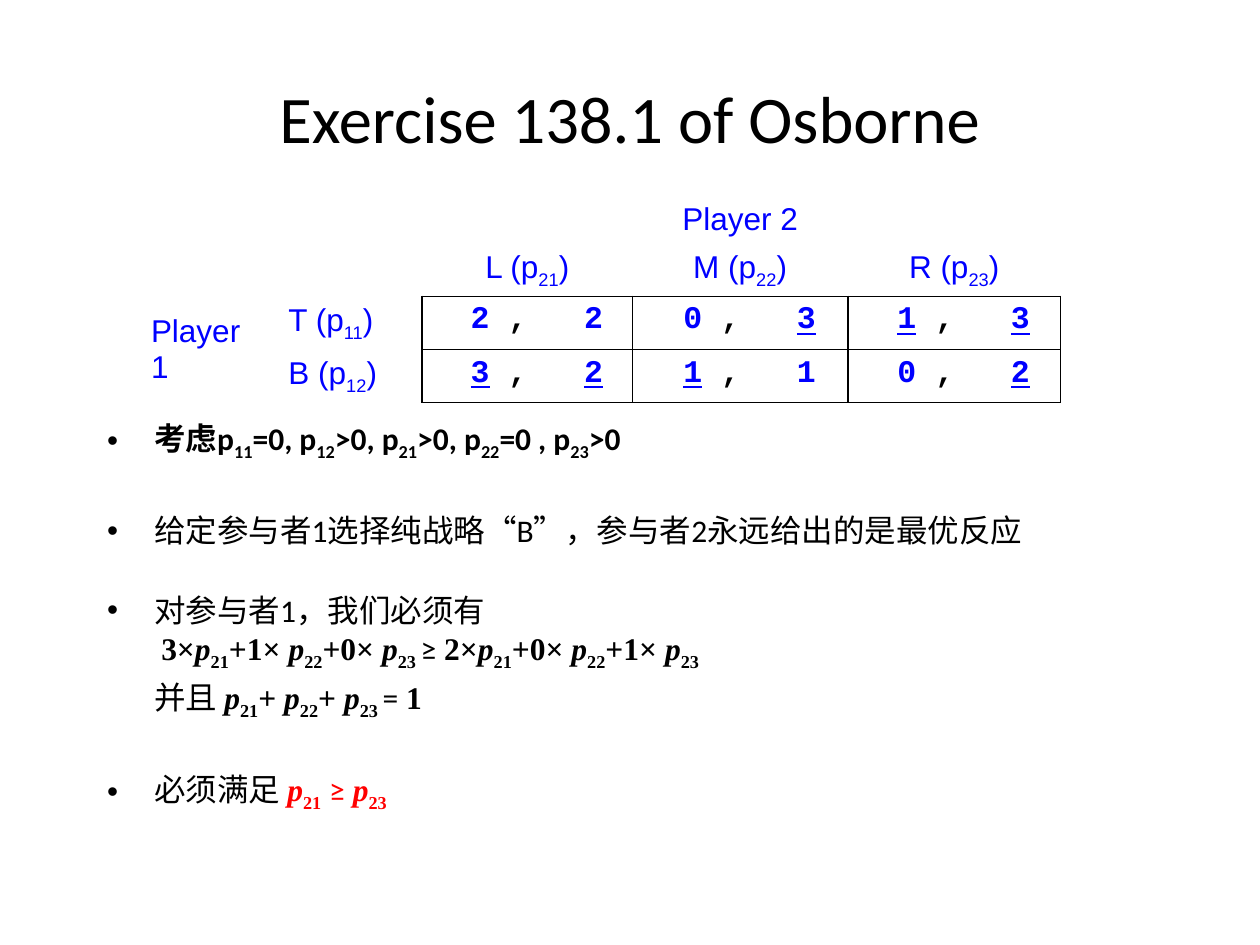
from dataclasses import dataclass
from itertools import groupby

from lxml import etree
from pptx import Presentation
from pptx.dml.color import RGBColor
from pptx.enum.text import MSO_ANCHOR, PP_ALIGN
from pptx.oxml.ns import qn
from pptx.util import Cm, Pt

TOP, MIDDLE, BOTTOM = MSO_ANCHOR.TOP, MSO_ANCHOR.MIDDLE, MSO_ANCHOR.BOTTOM
LEFT, CENTER = PP_ALIGN.LEFT, PP_ALIGN.CENTER
PLAIN_TABLE_STYLE = "{2D5ABB26-0587-4C30-8999-92F81FD0307C}"


@dataclass(frozen=True)
class Theme:
    black: RGBColor = RGBColor(0, 0, 0)
    blue: RGBColor = RGBColor(0, 0, 255)
    red: RGBColor = RGBColor(255, 0, 0)
    title_size: Pt = Pt(38)
    text_size: Pt = Pt(18)
    body_font: str = "Calibri"
    label_font: str = "Arial"
    payoff_font: str = "Courier New"
    formula_font: str = "Times New Roman"


theme = Theme()


def add_text(paragraph, text, formula_color=None):
    """Add text whose every second |-part is a subscript.

    With a formula colour, p is italic and relations stay in the body font.
    """
    for index, part in enumerate(text.split("|")):
        subscript = index % 2 == 1
        pieces = [("label", part)]
        if formula_color is not None:
            kinds = groupby(part, lambda sign: sign if sign in "p≥=" else "number")
            pieces = [(kind, "".join(signs)) for kind, signs in kinds]
        for kind, piece in pieces:
            run = paragraph.add_run()
            run.text = piece
            if subscript:
                run.font._element.set("baseline", "-25000")
            if formula_color is not None:
                relation = kind in ("≥", "=")
                run.font.name = theme.body_font if relation else theme.formula_font
                run.font.bold = not relation
                run.font.italic = kind == "p"
                run.font.color.rgb = formula_color


def format_cell(cell, anchor, align, font_name, bold, borders):
    cell.vertical_anchor = anchor
    properties = cell._tc.get_or_add_tcPr()
    for side in borders:
        line = etree.SubElement(properties, qn(f"a:ln{side}"), w=str(Pt(1)))
        fill = etree.SubElement(line, qn("a:solidFill"))
        etree.SubElement(fill, qn("a:srgbClr"), val=str(theme.black))
    cell.fill.background()
    paragraph = cell.text_frame.paragraphs[0]
    paragraph.alignment = align
    paragraph.font.name = font_name
    paragraph.font.size = theme.text_size
    paragraph.font.bold = bold
    paragraph.font.color.rgb = theme.blue
    return paragraph


presentation = Presentation()
presentation.slide_width, presentation.slide_height = Cm(25.4), Cm(19.05)
slide = presentation.slides.add_slide(presentation.slide_layouts[5])

# Title
title = slide.shapes.title
title.left, title.top, title.width, title.height = Cm(1.27), Cm(0.76), Cm(22.86), Cm(3.18)
title.text_frame.text = "Exercise 138.1 of Osborne"
title.text_frame.vertical_anchor = MIDDLE
paragraph = title.text_frame.paragraphs[0]
paragraph.alignment = CENTER
paragraph.font.name = theme.body_font
paragraph.font.size = theme.title_size
paragraph.font.color.rgb = theme.black

# Payoff table
column_widths = [2.77, 2.95, 4.24, 4.34, 4.29]
row_heights = [0.94, 1.07, 1.07, 1.07]
table_frame = slide.shapes.add_table(
    len(row_heights), len(column_widths), Cm(2.79), Cm(3.94),
    Cm(sum(column_widths)), Cm(sum(row_heights)))
table = table_frame.table
table.first_row = table.horz_banding = False
table._tbl.tblPr.find(qn("a:tableStyleId")).text = PLAIN_TABLE_STYLE
for column, width in zip(table.columns, column_widths):
    column.width = Cm(width)
for row, height in zip(table.rows, row_heights):
    row.height = Cm(height)
table.cell(2, 0).merge(table.cell(3, 0))

labels = {
    (0, 3): ("Player 2", BOTTOM, CENTER, ""),
    (1, 2): ("L (p|21|)", BOTTOM, CENTER, "B"),
    (1, 3): ("M (p|22|)", BOTTOM, CENTER, "B"),
    (1, 4): ("R (p|23|)", BOTTOM, CENTER, "B"),
    (2, 0): ("Player 1", MIDDLE, LEFT, ""),
    (2, 1): ("T (p|11|)", TOP, LEFT, "R"),
    (3, 1): ("B (p|12|)", MIDDLE, LEFT, "R"),
}
# An underscore marks a best response
payoffs = [
    [("2", "2"), ("0", "_3"), ("_1", "_3")],
    [("_3", "_2"), ("_1", "1"), ("0", "_2")],
]
for row in range(len(row_heights)):
    for column in range(len(column_widths)):
        cell = table.cell(row, column)
        if row >= 2 and column >= 2:
            paragraph = format_cell(cell, TOP, CENTER, theme.payoff_font, True, "LRTB")
            first, second = payoffs[row - 2][column - 2]
            for text in (" ", first, " ,   ", second):
                run = paragraph.add_run()
                run.text = text.lstrip("_")
                run.font.underline = text.startswith("_")
                run.font.color.rgb = theme.black if "," in text else theme.blue
        else:
            text, anchor, align, borders = labels.get((row, column), ("", TOP, LEFT, ""))
            paragraph = format_cell(cell, anchor, align, theme.label_font, False, borders)
            if text:
                add_text(paragraph, text)

# Argument: bullet, space before, bold, then lines of (text, formula, formula colour)
argument = [
    (True, 0, True, [("考虑p|11|=0, p|12|>0, p|21|>0, p|22|=0 , p|23|>0", "", None)]),
    (True, 28, False, [("给定参与者1选择纯战略“B”，参与者2永远给出的是最优反应", "", None)]),
    (True, 24, False, [
        ("对参与者1，我们必须有", "", None),
        (" ", "3×p|21|+1× p|22|+0× p|23 |≥ 2×p|21|+0× p|22|+1× p|23", theme.black)]),
    (False, 3.6, False, [("并且 ", "p|21|+ p|22|+ p|23 |= 1", theme.black)]),
    (True, 28, False, [("必须满足 ", "p|21| ≥ p|23", theme.red)]),
]
body = slide.shapes.add_textbox(Cm(1.91), Cm(8.33), Cm(22), Cm(8.53))
body.text_frame.word_wrap = True
for index, (bulleted, space, bold, lines) in enumerate(argument):
    paragraph = body.text_frame.paragraphs[0] if index == 0 else body.text_frame.add_paragraph()
    properties = paragraph._p.get_or_add_pPr()
    properties.set("marL", str(Cm(0.95)))
    properties.set("indent", str(Cm(-0.95 if bulleted else 0)))
    if bulleted:
        etree.SubElement(properties, qn("a:buFont"), typeface=theme.label_font)
        etree.SubElement(properties, qn("a:buChar"), char="•")
    paragraph.space_before = Pt(space)
    paragraph.font.name = theme.body_font
    paragraph.font.size = theme.text_size
    paragraph.font.bold = bold
    paragraph.font.color.rgb = theme.black
    for number, (text, formula, formula_color) in enumerate(lines):
        if number:
            paragraph.add_line_break()
        add_text(paragraph, text)
        if formula:
            add_text(paragraph, formula, formula_color)

presentation.save("out.pptx")
